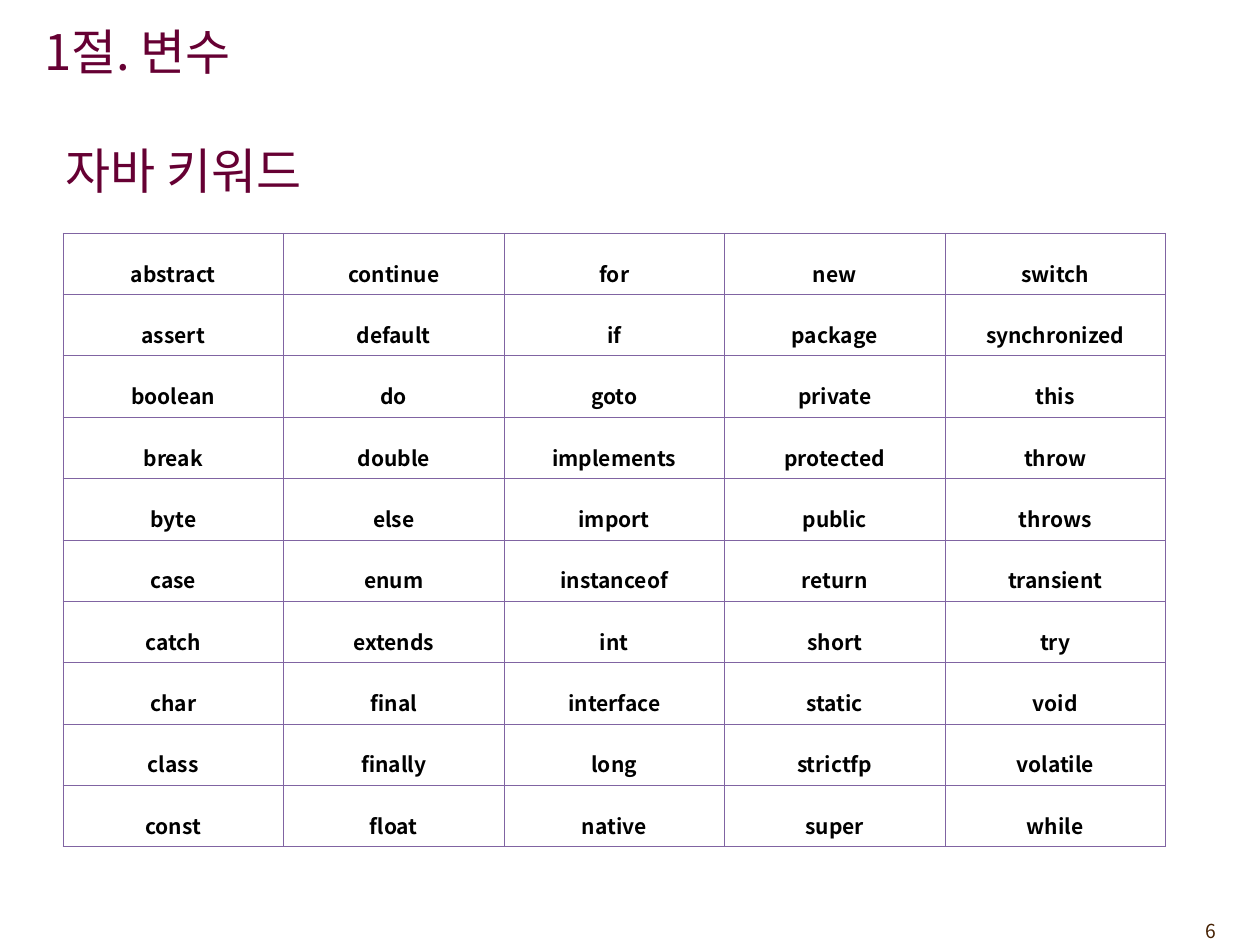
from lxml.etree import SubElement
from pptx import Presentation
from pptx.dml.color import RGBColor
from pptx.enum.text import MSO_ANCHOR, MSO_AUTO_SIZE, PP_ALIGN
from pptx.oxml.ns import qn
from pptx.util import Inches, Pt

FONT = "Noto Sans CJK KR"
PLUM = RGBColor(0x66, 0x00, 0x33)
BROWN = RGBColor(0x45, 0x21, 0x03)
BLACK = RGBColor(0x00, 0x00, 0x00)
PURPLE = RGBColor(0x80, 0x64, 0xA2)

KEYWORD_COLUMNS = [
    "abstract assert boolean break byte case catch char class const".split(),
    "continue default do double else enum extends final finally float".split(),
    "for if goto implements import instanceof int interface long native".split(),
    "new package private protected public return short static strictfp super".split(),
    "switch synchronized this throw throws transient try void volatile while".split(),
]


class SlideBuilder:
    def __init__(self, slide, font=FONT):
        self.slide = slide
        self.font = font

    def set_text(self, tf, text, size, color, align=PP_ALIGN.LEFT, bold=False):
        tf.text = text
        p = tf.paragraphs[0]
        p.alignment = align
        for r in p.runs:
            r.font.name = self.font
            r.font.size = Pt(size)
            r.font.bold = bold
            r.font.color.rgb = color
            SubElement(r._r.get_or_add_rPr(), qn("a:ea"), typeface=self.font)
        return p

    def fill_box(self, sp, text, size, color, align=PP_ALIGN.LEFT, anchor=MSO_ANCHOR.MIDDLE):
        tf = sp.text_frame
        tf.word_wrap = True
        tf.auto_size = MSO_AUTO_SIZE.NONE
        tf.vertical_anchor = anchor
        self.set_text(tf, text, size, color, align)

    def title(self, text, left, top, width, height):
        sp = self.slide.shapes.title
        sp.left, sp.top = Inches(left), Inches(top)
        sp.width, sp.height = Inches(width), Inches(height)
        self.fill_box(sp, text, 28, PLUM)

    def text(self, text, left, top, width, height, size, color, **style):
        sp = self.slide.shapes.add_textbox(
            Inches(left), Inches(top), Inches(width), Inches(height))
        self.fill_box(sp, text, size, color, **style)

    def border(self, cell, color, width):
        """Draw the four edges of a cell, placed before its fill as the schema asks."""
        tc_pr = cell._tc.get_or_add_tcPr()
        for i, side in enumerate(("a:lnL", "a:lnR", "a:lnT", "a:lnB")):
            ln = SubElement(tc_pr, qn(side), w=str(Pt(width)))
            fill = SubElement(ln, qn("a:solidFill"))
            SubElement(fill, qn("a:srgbClr"), val=str(color))
            tc_pr.insert(i, ln)

    def table(self, columns, left, top, col_width, row_height):
        n_rows, n_cols = len(columns[0]), len(columns)
        table = self.slide.shapes.add_table(
            n_rows, n_cols, Inches(left), Inches(top),
            Inches(col_width * n_cols), Inches(row_height * n_rows)).table
        table.first_row = table.horz_banding = False
        for c, words in enumerate(columns):
            for r, word in enumerate(words):
                cell = table.cell(r, c)
                cell.fill.background()
                cell.vertical_anchor = MSO_ANCHOR.MIDDLE
                cell.margin_left = cell.margin_right = Inches(0.07)
                p = self.set_text(cell.text_frame, word, 12, BLACK, PP_ALIGN.CENTER, bold=True)
                p.line_spacing = 1.6
                self.border(cell, PURPLE, 0.45)


def main():
    prs = Presentation()
    prs.slide_width, prs.slide_height = Inches(10), Inches(7.5)
    title_only = prs.slide_layouts[5]
    builder = SlideBuilder(prs.slides.add_slide(title_only))

    builder.title("1절. 변수", 0.25, 0.09, 8.27, 0.63)
    builder.text("자바 키워드", 0.42, 0.98, 8.92, 0.74, 28, PLUM)
    builder.table(KEYWORD_COLUMNS, 0.5, 1.85, col_width=1.75, row_height=0.45)
    builder.text("6", 8.92, 7.25, 0.83, 0.29, 11, BROWN,
                 align=PP_ALIGN.RIGHT, anchor=MSO_ANCHOR.TOP)
    prs.save("out.pptx")


if __name__ == "__main__":
    main()
